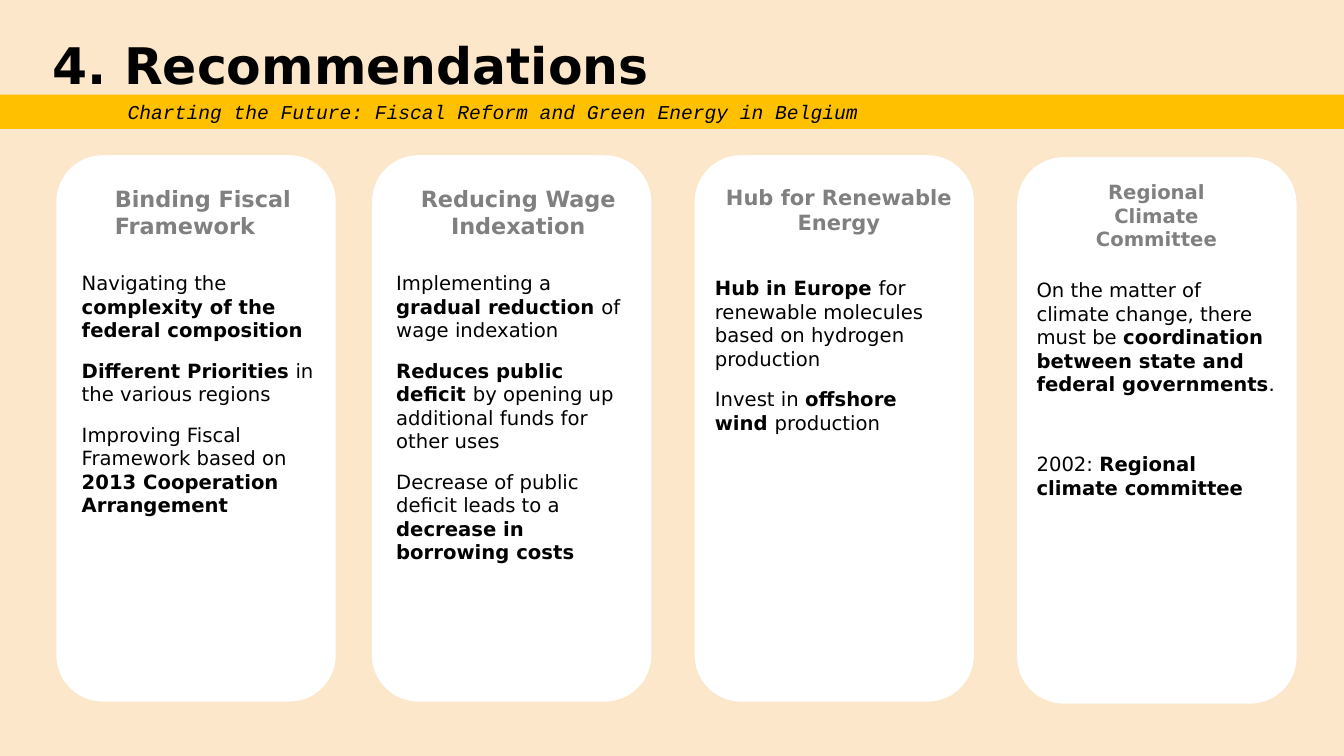
from collections import namedtuple

from lxml import etree
from pptx import Presentation
from pptx import util as u
from pptx.dml.color import RGBColor
from pptx.enum import shapes, text
from pptx.oxml import ns

SAND = RGBColor(0xFC, 0xE7, 0xCA)
AMBER = RGBColor(0xFF, 0xC0, 0x00)
WHITE = RGBColor(0xFF, 0xFF, 0xFF)
GRAY = RGBColor(0x80, 0x80, 0x80)
BLACK = RGBColor(0x00, 0x00, 0x00)
SANS, MONO = "DejaVu Sans", "Courier New"

WIDTH, HEIGHT = u.Inches(13.33), u.Inches(7.5)
COLUMN, ROW = WIDTH / 100, HEIGHT / 100

Box = namedtuple("Box", "left top width height")
Card = namedtuple("Card", "box heading heading_box heading_size align body_box points gap")

LEFT, CENTER = text.PP_ALIGN.LEFT, text.PP_ALIGN.CENTER
CARD_WIDTH, CARD_HEIGHT = 20.78, 72.27
BODY_WIDTH, BODY_HEIGHT = 19.43, 40.4

CARDS = [
    Card(Box(4.2, 20.53, CARD_WIDTH, CARD_HEIGHT),
         "Binding Fiscal Framework", Box(3.6, 3.33, 15, 8.53), 16, LEFT,
         Box(1.13, 14.67, BODY_WIDTH, BODY_HEIGHT),
         ["Navigating the *complexity of the federal composition",
          "*Different Priorities* in the various regions",
          "Improving Fiscal Framework based on *2013 Cooperation Arrangement"], 12),
    Card(Box(27.68, 20.53, CARD_WIDTH, CARD_HEIGHT),
         "Reducing Wage Indexation", Box(1.28, 3.33, 19.2, 8.53), 16, CENTER,
         Box(1.05, 14.67, BODY_WIDTH, BODY_HEIGHT),
         ["Implementing a *gradual reduction *of wage indexation",
          "*Reduces public deficit *by opening up additional funds for other uses",
          "Decrease of public deficit leads to a *decrease in borrowing costs"], 12),
    Card(Box(51.69, 20.53, CARD_WIDTH, CARD_HEIGHT),
         "Hub for Renewable Energy", Box(0.75, 3.2, 19.95, 8.13), 15, CENTER,
         Box(0.75, 15.33, BODY_WIDTH, BODY_HEIGHT),
         ["*Hub in Europe *for renewable molecules based on hydrogen production",
          "Invest in *offshore wind *production"], 12),
    Card(Box(75.69, 20.8, CARD_WIDTH, CARD_HEIGHT),
         "Regional Climate Committee", Box(2.63, 2.4, 15.45, 7.6), 14, CENTER,
         Box(0.68, 15.33, BODY_WIDTH, BODY_HEIGHT),
         ["On the matter of climate change, there must be "
          "*coordination between state and federal governments*.",
          "2002: *Regional climate committee"], 40.3),
]


def measure(box):
    """Turn a box in grid units into slide lengths."""
    return (round(box.left * COLUMN), round(box.top * ROW),
            round(box.width * COLUMN), round(box.height * ROW))


def inside(outer, inner):
    """Shift a box given relative to another box onto the slide grid."""
    return Box(outer.left + inner.left, outer.top + inner.top, inner.width, inner.height)


def style(run, size, color=BLACK, face=SANS, bold=False, italic=False):
    """Format one run."""
    font = run.font
    font.size, font.name, font.bold, font.italic = u.Pt(size), face, bold, italic
    font.color.rgb = color


def panel(slide, preset, box, color):
    """Add a flat filled shape without outline."""
    shape = slide.shapes.add_shape(preset, *measure(box))
    shape.shadow.inherit = False
    shape.fill.solid()
    shape.fill.fore_color.rgb = color
    shape.line.fill.background()
    return shape


def place(placeholder, box, anchor=text.MSO_ANCHOR.TOP):
    """Move a placeholder to a box and return its prepared text frame."""
    (placeholder.left, placeholder.top,
     placeholder.width, placeholder.height) = measure(box)
    frame = placeholder.text_frame
    frame.word_wrap = True
    frame.auto_size = text.MSO_AUTO_SIZE.NONE
    frame.vertical_anchor = anchor
    return frame


def add_header(slide, box):
    """Fill the title and the amber subtitle band below it."""
    frame = place(slide.shapes.title, Box(box.left + 3.15, box.top + 3.87, 84.25, 9.47))
    frame.text = "4. Recommendations"
    frame.paragraphs[0].alignment = LEFT
    style(frame.paragraphs[0].runs[0], 36, bold=True)

    band = panel(slide, shapes.MSO_SHAPE.RECTANGLE,
                 Box(box.left, box.top + 12.53, box.width, 4.53), AMBER)
    subtitle = band.text_frame
    subtitle.margin_left = round(9.5 * COLUMN)
    subtitle.margin_top = subtitle.margin_bottom = 0
    subtitle.vertical_anchor = text.MSO_ANCHOR.MIDDLE
    subtitle.text = "Charting the Future: Fiscal Reform and Green Energy in Belgium"
    subtitle.paragraphs[0].alignment = LEFT
    style(subtitle.paragraphs[0].runs[0], 14, face=MONO, italic=True)


def add_point(paragraph, point, gap):
    """Write one unbulleted point, with asterisks switching bold on and off."""
    properties = paragraph._p.get_or_add_pPr()
    properties.set("marL", "0")
    properties.set("indent", "0")
    etree.SubElement(properties, ns.qn("a:buNone"))
    paragraph.space_before, paragraph.space_after = u.Pt(0), u.Pt(gap)
    for index, part in enumerate(point.split("*")):
        if part:
            run = paragraph.add_run()
            run.text = part
            style(run, 14, bold=index % 2 == 1)


def add_card(slide, card, body):
    """Draw one card with its heading and its list of points."""
    panel(slide, shapes.MSO_SHAPE.ROUNDED_RECTANGLE, card.box, WHITE)

    heading = slide.shapes.add_textbox(*measure(inside(card.box, card.heading_box))).text_frame
    heading.word_wrap = True
    heading.text = card.heading
    heading.paragraphs[0].alignment = card.align
    style(heading.paragraphs[0].runs[0], card.heading_size, GRAY, bold=True)

    slide.shapes._spTree.append(body._element)
    frame = place(body, inside(card.box, card.body_box))
    for index, point in enumerate(card.points):
        paragraph = frame.add_paragraph() if index else frame.paragraphs[0]
        add_point(paragraph, point, card.gap)


def main():
    """Build and save the recommendations slide."""
    deck = Presentation()
    deck.slide_width, deck.slide_height = WIDTH, HEIGHT
    slide = deck.slides.add_slide(deck.slide_layouts.get_by_name("Comparison"))
    slide.background.fill.solid()
    slide.background.fill.fore_color.rgb = SAND
    bodies = [holder for holder in slide.placeholders if holder.placeholder_format.idx > 0]
    add_header(slide, Box(0, 0, 100, 17.06))
    for card, body in zip(CARDS, bodies):
        add_card(slide, card, body)
    deck.save("out.pptx")


if __name__ == "__main__":
    main()
